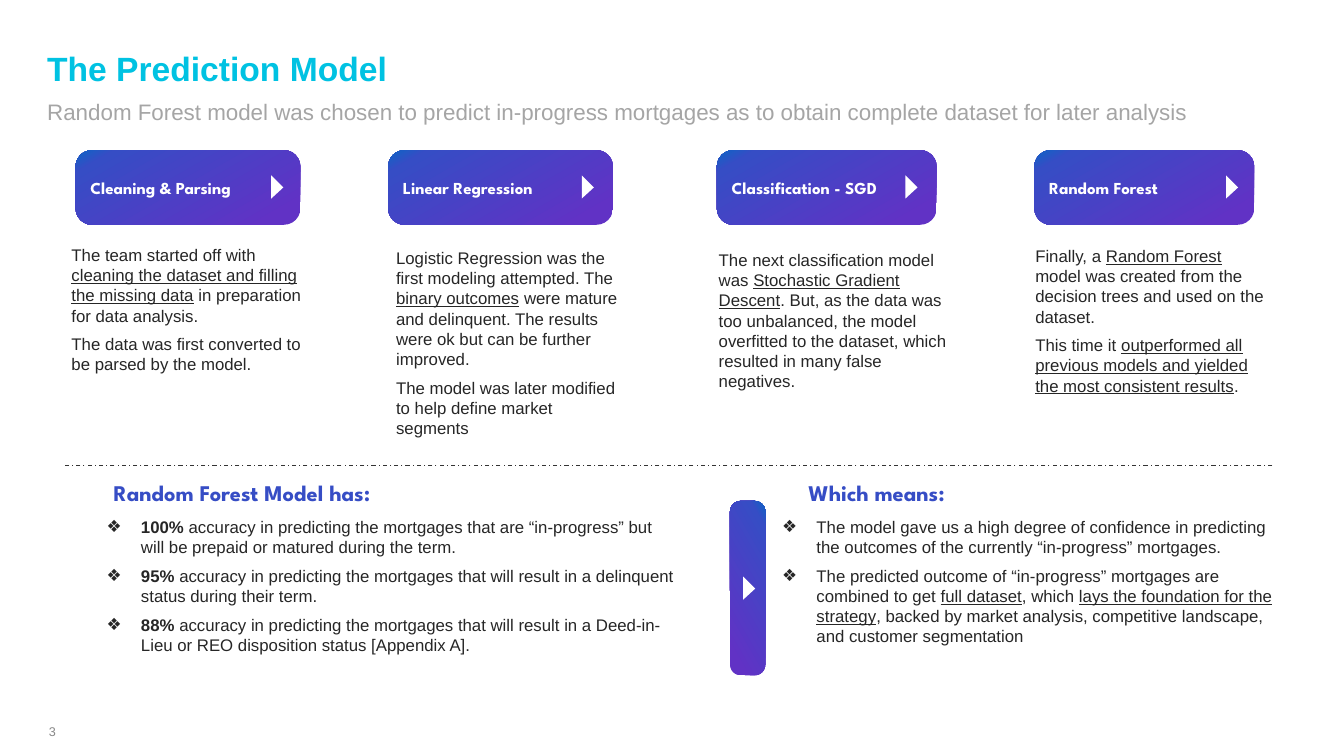
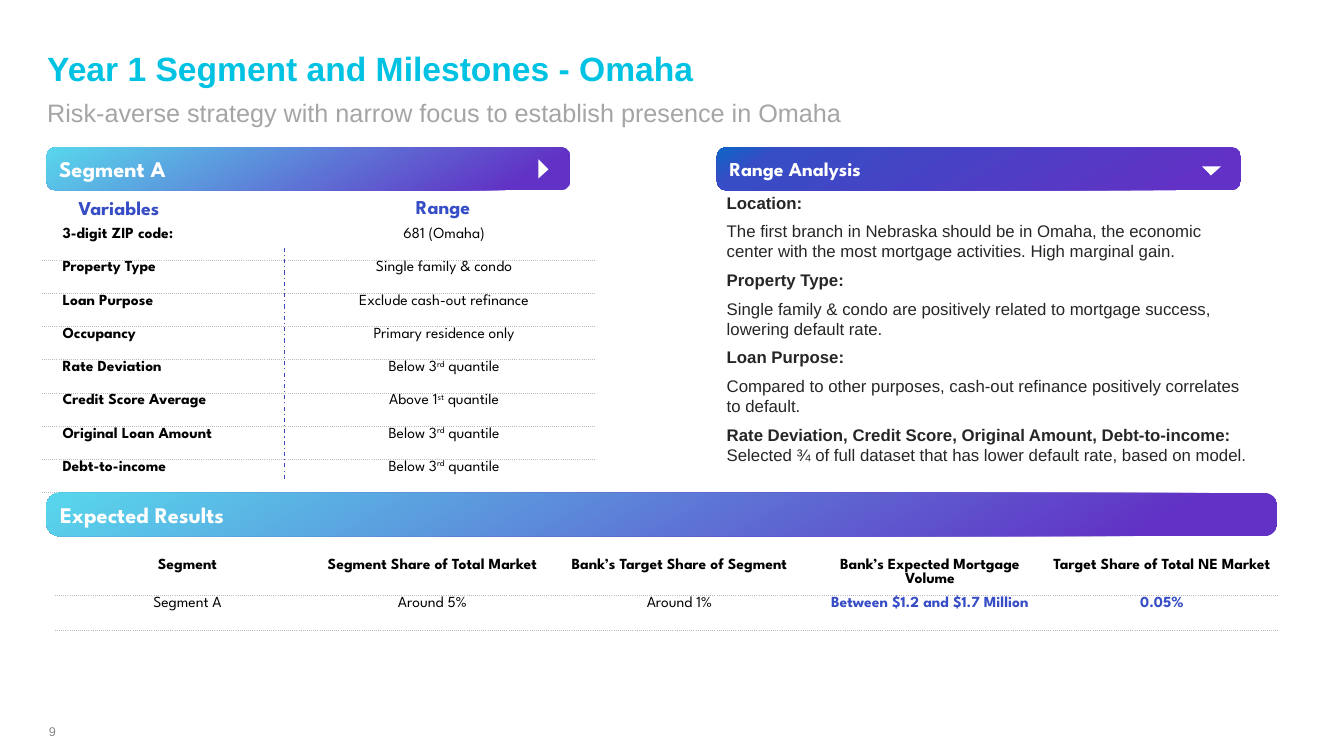
from pptx import Presentation, util as u
from pptx.dml import color
from pptx.enum import dml, shapes, text
from pptx.oxml import parse_xml
from pptx.oxml.ns import nsdecls

PX = 9144
HEAD, BODY = "League Spartan", "Arial"
CYAN, GREY, INK, BLUE, WHITE = "00C2E2", "A5A5A5", "262626", "364DC5", "FFFFFF"
DEEP = [(0, "6132C5"), (11, "6132C5"), (89, BLUE), (100, "0D66C5")]
FRESH = [(0, "6132C5"), (11, "6132C5"), (100, "58D7EC")]
LEFT, MID = text.PP_ALIGN.LEFT, text.PP_ALIGN.CENTER
TOP, MIDDLE, BOTTOM = text.MSO_ANCHOR.TOP, text.MSO_ANCHOR.MIDDLE, text.MSO_ANCHOR.BOTTOM
hue = color.RGBColor.from_string


def write(host, words, at=None, size=12, font=BODY, ink=INK, bold=False, align=LEFT,
          anchor=TOP, gap=0, indent=0, bullet=None, mark="underline"):
    if at:
        host = host.shapes.add_textbox(*[n * PX for n in at])
    frame = host.text_frame
    frame.word_wrap = True
    frame.vertical_anchor = anchor
    for i, part in enumerate([words] if isinstance(words, str) else words):
        line = frame.add_paragraph() if i else frame.paragraphs[0]
        line.alignment = align
        line.space_before = u.Pt(0 if part.startswith("\n") else gap)
        props = line._p.get_or_add_pPr()
        props.set("marL", str(indent * PX))
        props.set("indent", str(-34 * PX if bullet else 0))
        if bullet:
            props.append(parse_xml(f'<a:buFont {nsdecls("a")} typeface="{BODY}"/>'))
            props.append(parse_xml(f'<a:buChar {nsdecls("a")} char="{bullet}"/>'))
        for j, piece in enumerate(part.strip("\n").split("|")):
            if not piece:
                continue
            run = line.add_run()
            run.text = piece
            run.font.size, run.font.name, run.font.bold = u.Pt(size), font, bold
            run.font.color.rgb = hue(ink)
            if j % 2 and mark == "raise":
                run.font._element.set("baseline", "30000")
            elif j % 2:
                setattr(run.font, mark, True)


def pill(page, at, words="", size=12, stops=DEEP, round=0.22, turn=0):
    box = page.shapes.add_shape(shapes.MSO_SHAPE.ROUNDED_RECTANGLE, *[n * PX for n in at])
    box.adjustments[0] = round
    box.rotation = turn
    box.shadow.inherit = False
    box.line.fill.background()
    box.fill.gradient()
    box.fill.gradient_angle = 120
    ramp = box.fill.gradient_stops[0]._gs.getparent()
    for stop in list(ramp):
        ramp.remove(stop)
    for spot, tint in stops:
        ramp.append(parse_xml(f'<a:gs {nsdecls("a")} pos="{spot * 1000}">'
                              f'<a:srgbClr val="{tint}"/></a:gs>'))
    frame = box.text_frame
    frame.margin_left = 10 * PX
    frame.margin_top = frame.margin_right = frame.margin_bottom = 0
    write(box, words, size=size, font=HEAD, ink=WHITE, bold=True, anchor=MIDDLE)


deck = Presentation()
deck.slide_width, deck.slide_height = 1333 * PX, 750 * PX
pages = []
for title, sub, size, num in [
    ("The Prediction Model", "Random Forest model was chosen to predict in-progress mortgages "
     "as to obtain complete dataset for later analysis", 16, "3"),
    ("Year 1 Segment and Milestones - Omaha",
     "Risk-averse strategy with narrow focus to establish presence in Omaha", 18, "9"),
]:
    page = deck.slides.add_slide(deck.slide_layouts[6])
    write(page, title, (37, 30, 1050, 62), size=24, ink=CYAN, bold=True, anchor=BOTTOM)
    write(page, sub, (37, 92, 1193, 58), size=size, ink=GREY)
    write(page, num, (26, 714, 52, 24), size=9, ink="888888", align=MID, anchor=MIDDLE)
    pages.append(page)
model, plan = pages

for name, x, wide, at, words in [
    ("Cleaning & Parsing", 75, 223, (44, 238, 285, 215),
     ["The team started off with |cleaning the dataset and filling the missing data| "
      "in preparation for data analysis.",
      "The data was first converted to be parsed by the model."]),
    ("Linear Regression", 385, 223, (366, 241, 262, 202),
     ["Logistic Regression was the first modeling attempted. The |binary outcomes| were "
      "mature and delinquent. The results were ok but can be further improved.",
      "The model was later modified to help define market segments"]),
    ("Classification - SGD", 711, 218, (686, 243, 268, 190),
     ["The next classification model was |Stochastic Gradient Descent|. But, as the data was "
      "too unbalanced, the model overfitted to the dataset, which resulted in many false "
      "negatives."]),
    ("Random Forest", 1026, 218, (1000, 239, 270, 202),
     ["Finally, a |Random Forest| model was created from the decision trees and used on "
      "the dataset.",
      "This time it |outperformed all previous models and yielded the most consistent "
      "results|."]),
]:
    pill(model, (x, 149, wide, 74), name)
    write(model, words, at, gap=6, indent=17)

for name, x, at, mark, words in [
    ("Random Forest Model has:", 103, (80, 508, 605, 142), "bold",
     ["|100%| accuracy in predicting the mortgages that are “in-progress” but will be "
      "prepaid or matured during the term.",
      "|95%| accuracy in predicting the mortgages that will result in a delinquent status "
      "during their term.",
      "|88%| accuracy in predicting the mortgages that will result in a Deed-in-Lieu or REO "
      "disposition status [Appendix A]."]),
    ("Which means:", 792, (750, 508, 530, 140), "underline",
     ["The model gave us a high degree of confidence in predicting the outcomes of the "
      "currently “in-progress” mortgages.",
      "The predicted outcome of “in-progress” mortgages are combined to get |full dataset|, "
      "which |lays the foundation for the strategy|, backed by market analysis, competitive "
      "landscape, and customer segmentation"]),
]:
    write(model, name, (x, 470, 424, 37), size=16, font=HEAD, ink=BLUE, bold=True)
    write(model, words, at, gap=6, indent=50, bullet="❖", mark=mark)
pill(model, (655, 566, 173, 35), round=0.3, turn=90)

write(plan, [
    "|Location:|",
    "The first branch in Nebraska should be in Omaha, the economic center with the most "
    "mortgage activities. High marginal gain.",
    "|Property Type:|",
    "Single family & condo are positively related to mortgage success, lowering default rate.",
    "|Loan Purpose:|",
    "Compared to other purposes, cash-out refinance positively correlates to default.",
    "|Rate Deviation, Credit Score, Original Amount, Debt-to-income:|",
    "\nSelected ¾ of full dataset that has lower default rate, based on model.",
], (711, 186, 540, 344), gap=6, mark="bold")
for name, at in [("Variables", (55, 189, 126, 34)), ("Range", (367, 188, 145, 34))]:
    write(plan, name, at, size=14, font=HEAD, ink=BLUE, bold=True, align=MID)

ranges = [
    ("3-digit ZIP code:", "681 (Omaha)"),
    ("Property Type", "Single family & condo"),
    ("Loan Purpose", "Exclude cash-out refinance"),
    ("Occupancy", "Primary residence only"),
    ("Rate Deviation", "Below 3|rd| quantile"),
    ("Credit Score Average", "Above 1|st| quantile"),
    ("Original Loan Amount", "Below 3|rd| quantile"),
    ("Debt-to-income", "Below 3|rd| quantile"),
]
results = [
    ("Segment", "Segment Share of Total Market", "Bank’s Target Share of Segment",
     "Bank’s Expected Mortgage Volume", "Target Share of Total NE Market"),
    ("Segment A", "Around 5%", "Around 1%", "Between $1.2 and $1.7 Million", "0.05%"),
]
for data, x, y, wides, highs, pads in [
    (ranges, 42, 225, (251, 296), [33] * 8, (20, 0)),
    (results, 55, 553, (243, 243, 267, 230, 230), [38, 34], (20, 20, 0, 0, 0)),
]:
    grid = plan.shapes.add_table(len(data), len(wides), x * PX, y * PX,
                                 sum(wides) * PX, sum(highs) * PX).table
    grid.first_row = grid.horz_banding = False
    for col, wide in zip(grid.columns, wides):
        col.width = wide * PX
    for r, row in enumerate(data):
        grid.rows[r].height = highs[r] * PX
        for c, words in enumerate(row):
            cell = grid.cell(r, c)
            cell.fill.solid()
            cell.fill.fore_color.rgb = hue(WHITE)
            cell.margin_left = pads[c] * PX
            cell.margin_top = cell.margin_right = PX
            cell.margin_bottom = 0
            label = data is ranges and c == 0
            key = data is results and r == 1 and c > 2
            write(cell, words, size=11, font=HEAD, ink=BLUE if key else "000000",
                  bold=label or key or (data is results and r == 0),
                  align=LEFT if label else MID, anchor=MIDDLE, mark="raise")
            for side in ("lnB", "lnT") if r else ("lnB",):
                cell._tc.get_or_add_tcPr().insert(0, parse_xml(
                    f'<a:{side} {nsdecls("a")} w="9525"><a:solidFill><a:srgbClr val="BCBBC1"/>'
                    f'</a:solidFill><a:prstDash val="sysDot"/></a:{side}>'))

pill(plan, (46, 489, 1221, 43), "Expected Results", 16, FRESH, 0.3)
pill(plan, (46, 146, 520, 43), "Segment A", 16, FRESH)
pill(plan, (711, 146, 520, 43), "Range Analysis", 14)

for page, tint, ends in [(model, "333333", (1262, 462, 62, 462)),
                         (plan, "3A4AC5", (282, 475, 282, 243))]:
    rule = page.shapes.add_connector(shapes.MSO_CONNECTOR.STRAIGHT, *[n * PX for n in ends])
    rule.line.width = u.Pt(0.75)
    rule.line.color.rgb = hue(tint)
    rule.line.dash_style = dml.MSO_LINE.DASH_DOT
    rule._element.spPr.append(parse_xml(f'<a:effectLst {nsdecls("a")}/>'))

tips = [(model, [(x, y), (x + 12, y + 12), (x, y + 23)])
        for x, y in [(269, 174), (577, 174), (898, 174), (1216, 174), (737, 572)]]
tips += [(plan, [(534, 158), (544, 168), (534, 177)]),
         (plan, [(1192, 165), (1201, 174), (1211, 165)])]
for page, spots in tips:
    pen = page.shapes.build_freeform(*spots[0], scale=PX)
    pen.add_line_segments(spots[1:], close=True)
    tip = pen.convert_to_shape()
    tip.shadow.inherit = False
    tip.fill.solid()
    tip.fill.fore_color.rgb = hue(WHITE)
    tip.line.fill.background()

deck.save("out.pptx")
